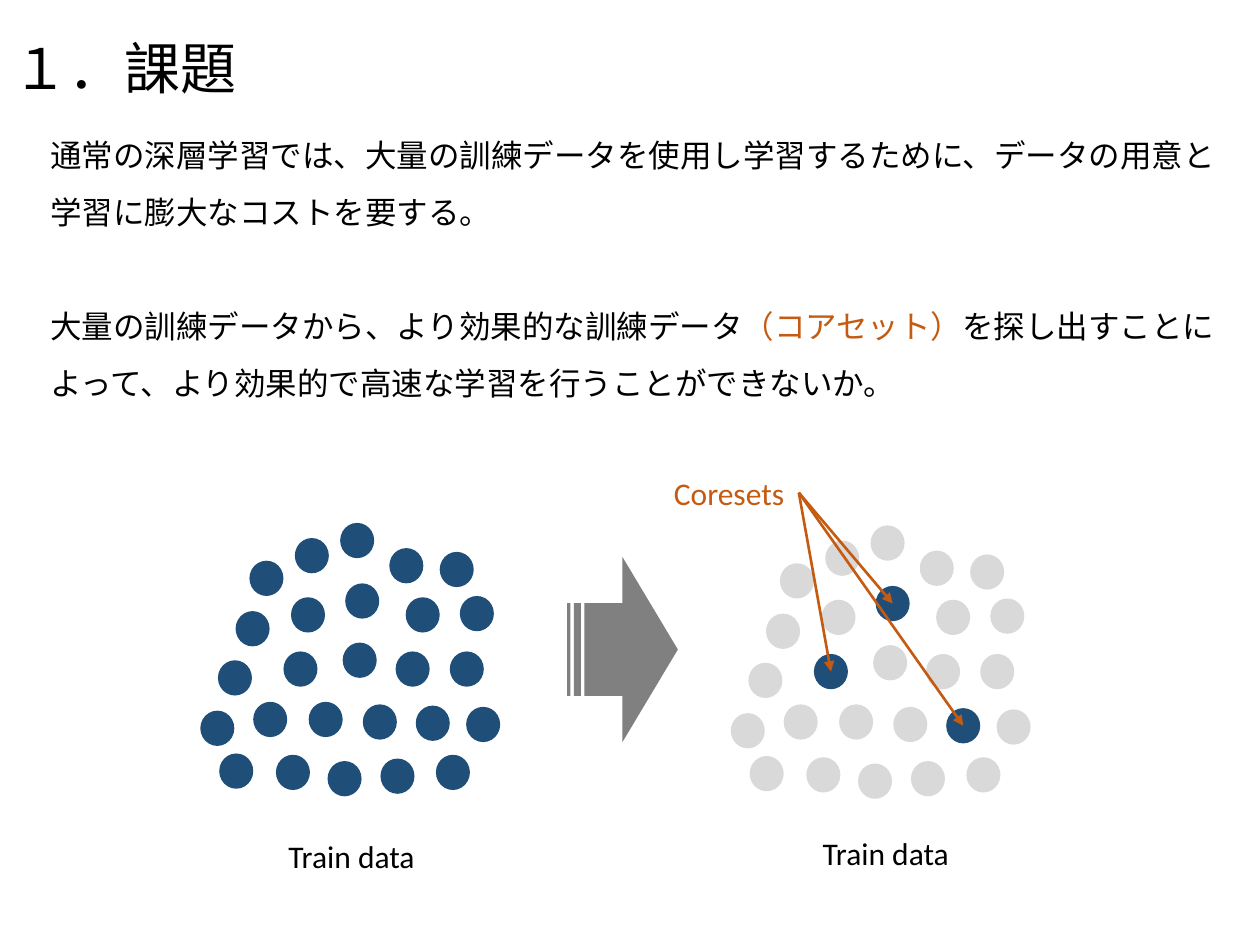
from lxml import etree
from pptx import Presentation
from pptx.dml.color import RGBColor
from pptx.enum.shapes import MSO_CONNECTOR as LINE, MSO_SHAPE as SHAPE
from pptx.enum.text import MSO_ANCHOR as ANCHOR, MSO_AUTO_SIZE as FIT
from pptx.oxml.ns import qn
from pptx.util import Inches, Pt

NAVY = RGBColor(0x1F, 0x4E, 0x79)
PALE = RGBColor(0xD9, 0xD9, 0xD9)
GRAY = RGBColor(0x80, 0x80, 0x80)
ORANGE = RGBColor(0xC5, 0x5A, 0x11)
BLACK = RGBColor(0, 0, 0)
LATIN, JAPANESE = "Calibri", "Noto Sans CJK JP"

# The slide is a grid of 100 columns by 75 rows of square cells.
COLS, ROWS, CELL = 100, 75, Inches(0.1)
DOT_W, DOT_H = 2.7, 2.8
CORESET_SHIFT = (42.1, 0.2)

# Left column and top row of each training sample, row by row.
SAMPLES = [
    (19.8, 44.5), (23.4, 42.7), (27, 41.5), (30.9, 43.5), (34.9, 43.8),
    (18.7, 48.5), (23.1, 47.4), (27.4, 46.3), (32.2, 47.4), (36.5, 47.3),
    (17.3, 52.4), (22.5, 51.7), (27.2, 51), (31.4, 51.7), (35.7, 51.7),
    (15.9, 56.4), (20.1, 55.7), (24.5, 55.7), (28.8, 55.9), (33, 56), (37, 56.1),
    (17.4, 59.8), (21.9, 59.9), (26, 60.4), (30.2, 60.2), (34.6, 59.9),
]
CORESETS = [(27.4, 46.3), (22.5, 51.7), (33, 56)]

PARAGRAPHS = [
    [("通常の深層学習では、大量の訓練データを使用し学習するために、"
      "データの用意と学習に膨大なコストを要する。", BLACK)],
    [("大量の訓練データから、より効果的な訓練データ", BLACK),
     ("（コアセット）", ORANGE),
     ("を探し出すことによって、より効果的で高速な学習を行うことができないか。", BLACK)],
]


def cells(*counts):
    return [round(n * CELL) for n in counts]


class Deck:
    """Holds the current slide and draws on it in grid cells."""

    def __init__(self):
        self.prs = Presentation()
        self.prs.slide_width, self.prs.slide_height = cells(COLS, ROWS)
        self.slide = self.prs.slides.add_slide(self.prs.slide_layouts[6])

    def shape(self, kind, box, color):
        sp = self.slide.shapes.add_shape(kind, *cells(*box))
        sp.shadow.inherit = False
        sp.fill.solid()
        sp.fill.fore_color.rgb = color
        sp.line.fill.background()

    def dot(self, left, top, color):
        self.shape(SHAPE.OVAL, (left, top, DOT_W, DOT_H), color)

    def text(self, box, paragraphs, font=LATIN, size=18, wrap=True):
        """Add a text box; each paragraph is a list of (text, color) runs."""
        tf = self.slide.shapes.add_textbox(*cells(*box)).text_frame
        tf.word_wrap = wrap
        tf.auto_size = FIT.NONE if wrap else FIT.SHAPE_TO_FIT_TEXT
        for i, runs in enumerate(paragraphs):
            p = tf.add_paragraph() if i else tf.paragraphs[0]
            for words, color in runs:
                r = p.add_run()
                r.text = words
                r.font.name, r.font.size = font, Pt(size)
                r.font.color.rgb = color
                east_asian = etree.SubElement(r.font._element, qn("a:ea"))
                east_asian.set("typeface", JAPANESE)
        return tf

    def label(self, box, words, color=BLACK):
        self.text(box, [[(words, color)]], wrap=False)

    def arrow(self, start, end):
        cxn = self.slide.shapes.add_connector(LINE.STRAIGHT, *cells(*start, *end))
        cxn.line.color.rgb = ORANGE
        cxn.line.width = Pt(1.5)
        ln = cxn.line._get_or_add_ln()
        etree.SubElement(ln, qn("a:tailEnd")).set("type", "triangle")
        etree.SubElement(cxn._element.spPr, qn("a:effectLst"))


def main():
    deck = Deck()
    title = deck.text((0, 0, COLS, 8), [[("１．課題", BLACK)]], JAPANESE, 32)
    title.vertical_anchor = ANCHOR.BOTTOM
    title.margin_bottom = 0

    dx, dy = CORESET_SHIFT
    for left, top in SAMPLES:
        deck.dot(left, top, NAVY)
    for left, top in SAMPLES:
        deck.dot(left + dx, top + dy, NAVY if (left, top) in CORESETS else PALE)

    deck.label((21.9, 65.9, 12.2, 4), "Train data")
    deck.label((64.3, 65.7, 12.2, 4), "Train data")
    deck.label((52.5, 37.1, 10.9, 4), "Coresets", ORANGE)
    for left, top in CORESETS:
        deck.arrow((63.4, 39.1), (left + dx + DOT_W / 2, top + dy + DOT_H / 2))
    deck.shape(SHAPE.STRIPED_RIGHT_ARROW, (45, 44.2, 8.8, 14.7), GRAY)

    body = deck.text((3, 8.8, 96.2, 26.7), PARAGRAPHS, JAPANESE)
    for p in body.paragraphs:
        p.line_spacing = Pt(32.5)
    body.paragraphs[1].space_before = Pt(32.5)

    deck.prs.save("out.pptx")


if __name__ == "__main__":
    main()
